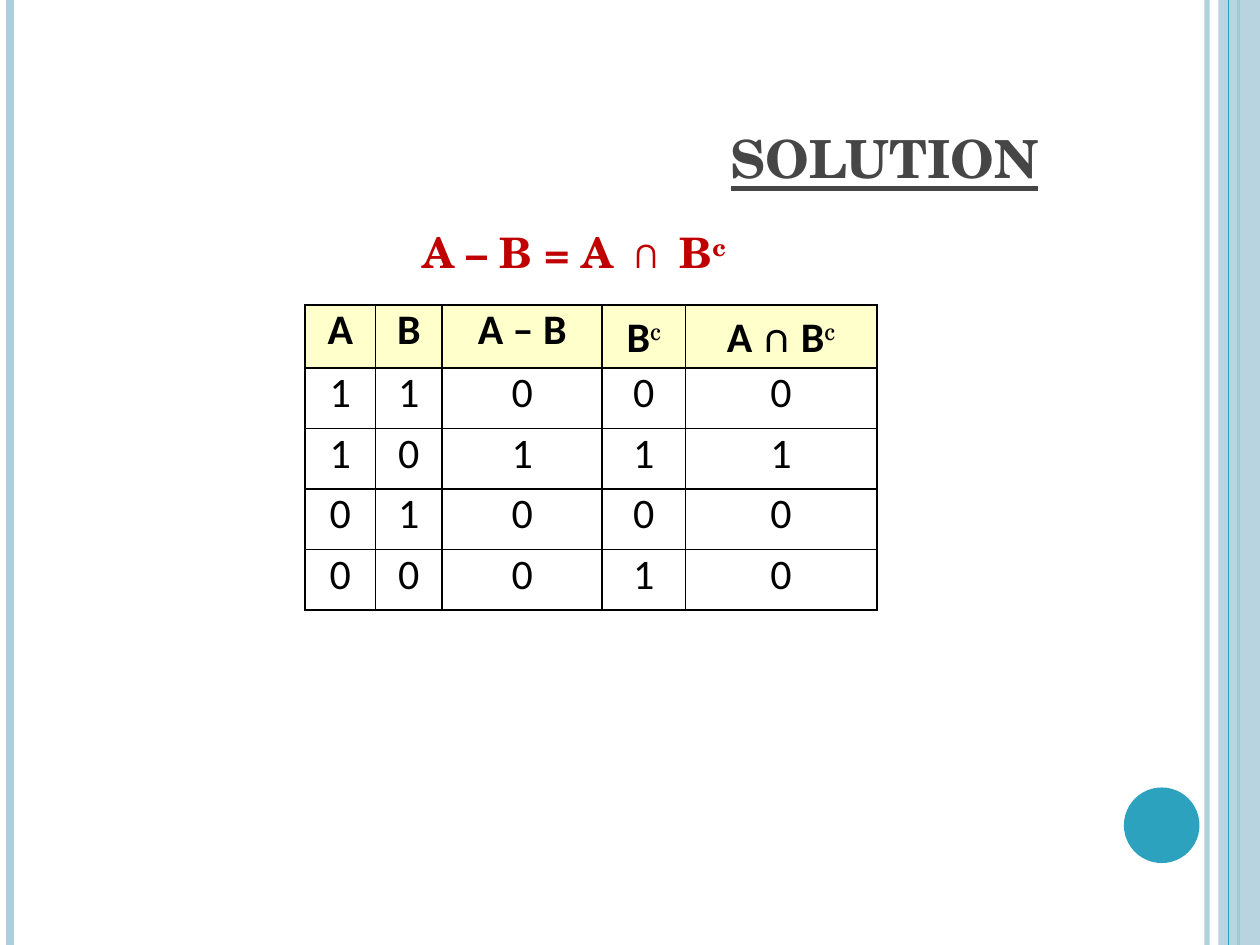
import pptx
import pptx.util
import pptx.dml.color
import pptx.enum.shapes
import pptx.enum.text
import pptx.oxml
import pptx.oxml.ns
from pptx.util import Inches

SERIF = "TeX Gyre Schola"
SANS = "Calibri"
PALE = "ADCEDC"
TEAL = "2DA2BF"
BLACK = "000000"
SHAPE = pptx.enum.shapes.MSO_SHAPE
qn = pptx.oxml.ns.qn


def color(code):
    return pptx.dml.color.RGBColor.from_string(code)


def sub(parent, tag, **attrs):
    node = parent.makeelement(qn(tag), attrs)
    parent.append(node)
    return node


def fade(shape, percent):
    for node in shape._element.spPr.iter(qn("a:srgbClr")):
        sub(node, "a:alpha", val=str(percent * 1000))


def add_rule(slide, x, code, width):
    kind = pptx.enum.shapes.MSO_CONNECTOR.STRAIGHT
    rule = slide.shapes.add_connector(kind, Inches(x), 0, Inches(x), Inches(7.5))
    rule.line.color.rgb = color(code)
    rule.line.width = pptx.util.Pt(width)
    sub(rule._element.spPr, "a:effectLst")
    return rule


def add_block(slide, kind, x, y, w, h, code):
    block = slide.shapes.add_shape(kind, Inches(x), Inches(y), Inches(w), Inches(h))
    block.shadow.inherit = False
    block.fill.solid()
    block.fill.fore_color.rgb = color(code)
    block.line.fill.background()
    return block


def add_run(para, text, size, face, code, bold=False, raised=False):
    run = para.add_run()
    run.text = text
    font = run.font
    font.size = pptx.util.Pt(size)
    font.name = face
    font.bold = bold
    font.color.rgb = color(code)
    if raised:
        font._element.set("baseline", "30000")
    return run


def add_box(slide, y, h, left, indent):
    frame = slide.shapes.add_textbox(
        Inches(0.5), Inches(y), Inches(8.17), Inches(h)).text_frame
    frame.word_wrap = True
    para = frame.paragraphs[0]
    para.alignment = pptx.enum.text.PP_ALIGN.CENTER
    props = para._p.get_or_add_pPr()
    props.set("marL", str(Inches(left)))
    props.set("indent", str(Inches(indent)))
    return frame, para


def add_edges(cell):
    props = cell._tc.get_or_add_tcPr()
    for spot, side in enumerate(("a:lnL", "a:lnR", "a:lnT", "a:lnB")):
        edge = props.makeelement(qn(side), {"w": str(pptx.util.Pt(1))})
        sub(sub(edge, "a:solidFill"), "a:srgbClr", val=BLACK)
        props.insert(spot, edge)


def fill_cell(cell, text, head):
    cell.margin_left = cell.margin_right = 0
    cell.margin_top = cell.margin_bottom = 0
    para = cell.text_frame.paragraphs[0]
    para.alignment = pptx.enum.text.PP_ALIGN.CENTER
    base, _, power = text.partition("^")
    add_run(para, base, 24, SANS, BLACK, bold=head)
    if power:
        add_run(para, power, 24, SERIF, BLACK, raised=True)
    if head:
        cell.fill.solid()
        cell.fill.fore_color.rgb = color("FFFFCC")
    else:
        para.space_after = pptx.util.Pt(10)
        cell.fill.background()
    add_edges(cell)


def add_grid(slide, rows, widths, heights):
    table = slide.shapes.add_table(
        len(rows), len(widths), Inches(2.42), Inches(2.42),
        Inches(sum(widths)), Inches(sum(heights))).table
    table.first_row = table.horz_banding = False
    for column, width in zip(table.columns, widths):
        column.width = Inches(width)
    for r, (row, height) in enumerate(zip(rows, heights)):
        table.rows[r].height = Inches(height)
        for c, text in enumerate(row):
            fill_cell(table.cell(r, c), text, r == 0)


def main():
    deck = pptx.Presentation()
    deck.slide_width, deck.slide_height = Inches(10), Inches(7.5)
    slide = deck.slides.add_slide(deck.slide_layouts[6])

    # Side bands and dot
    fade(add_rule(slide, 9.58, PALE, 3), 93)
    add_rule(slide, 0.08, PALE, 4.5)
    add_rule(slide, 9.83, TEAL, 1.5)
    fade(add_block(slide, SHAPE.RECTANGLE, 9.67, 0, 0.33, 7.5, PALE), 87)
    add_rule(slide, 9.75, TEAL, 0.75)
    add_block(slide, SHAPE.OVAL, 8.92, 6.25, 0.6, 0.6, TEAL)

    # Title, set right of centre
    frame, para = add_box(slide, 0.3, 1.25, 2.43, 0)
    frame.vertical_anchor = pptx.enum.text.MSO_ANCHOR.BOTTOM
    title = add_run(para, "SOLUTION", 30, SERIF, "464646", bold=True)
    title.font.underline = True
    title.font._element.set("cap", "small")

    # Identity
    frame, para = add_box(slide, 1.75, 5.33, 0.3, -0.3)
    add_run(para, "A – B = A ∩ B", 24, SERIF, "C00000", bold=True)
    add_run(para, "c ", 24, SERIF, "C00000", bold=True, raised=True)

    # Truth table; ^ marks a superscript
    rows = [["A", "B", "A – B", "B^c", "A ∩ B^c"],
            "11000", "10111", "01000", "00010"]
    add_grid(slide, rows, [0.56, 0.53, 1.27, 0.66, 1.52], [0.5] + [0.48] * 4)

    deck.save("out.pptx")


if __name__ == "__main__":
    main()
